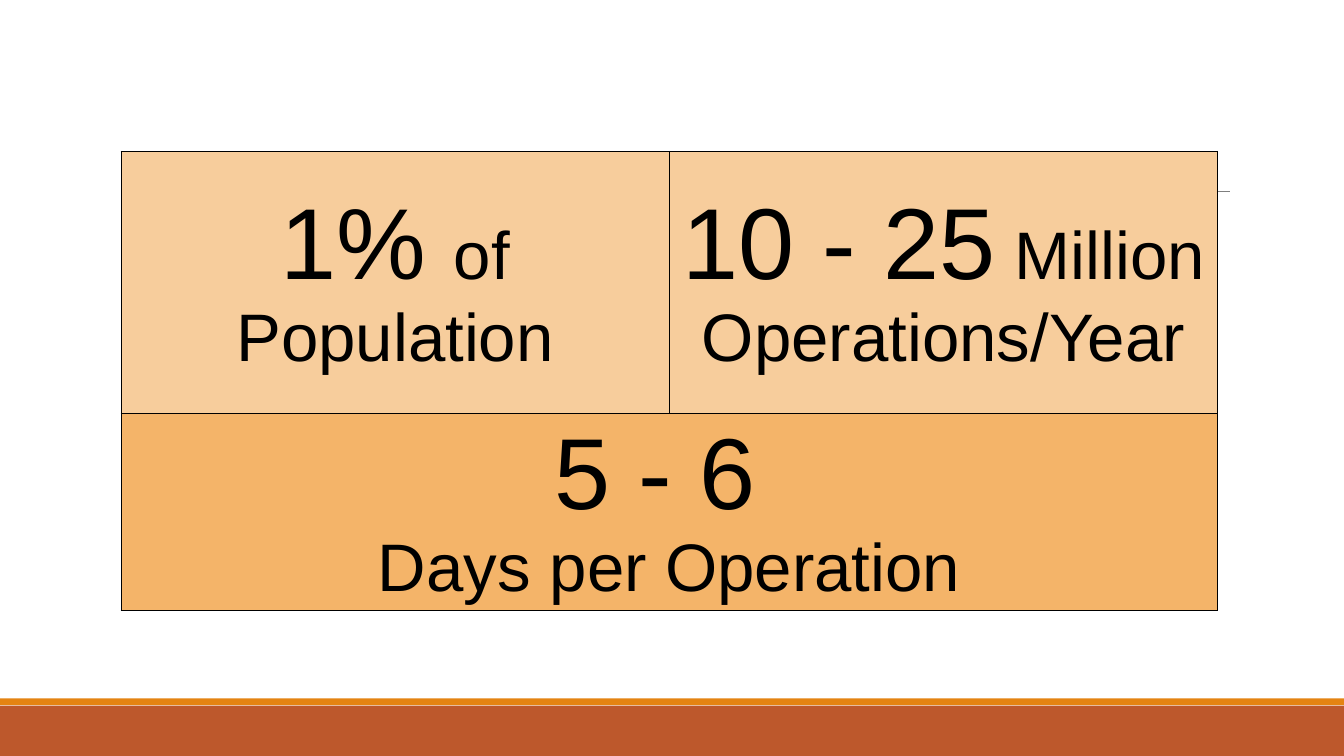
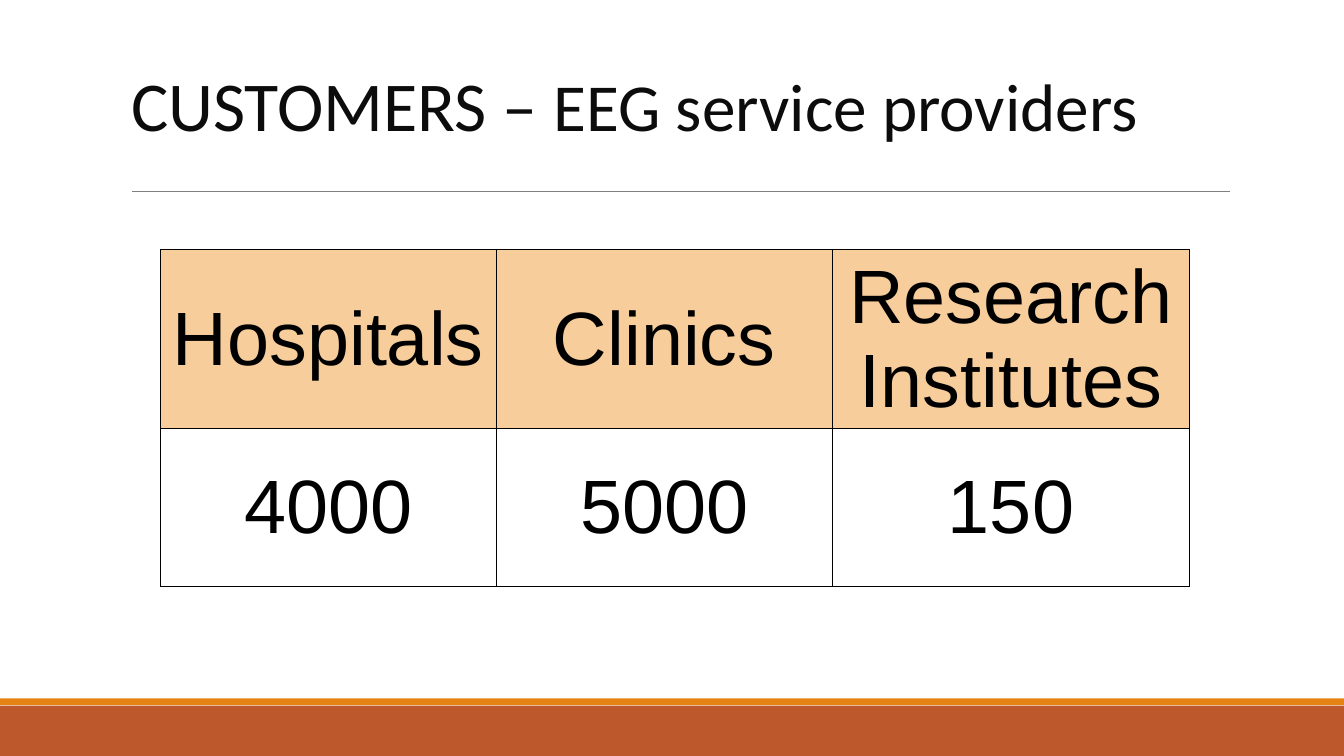
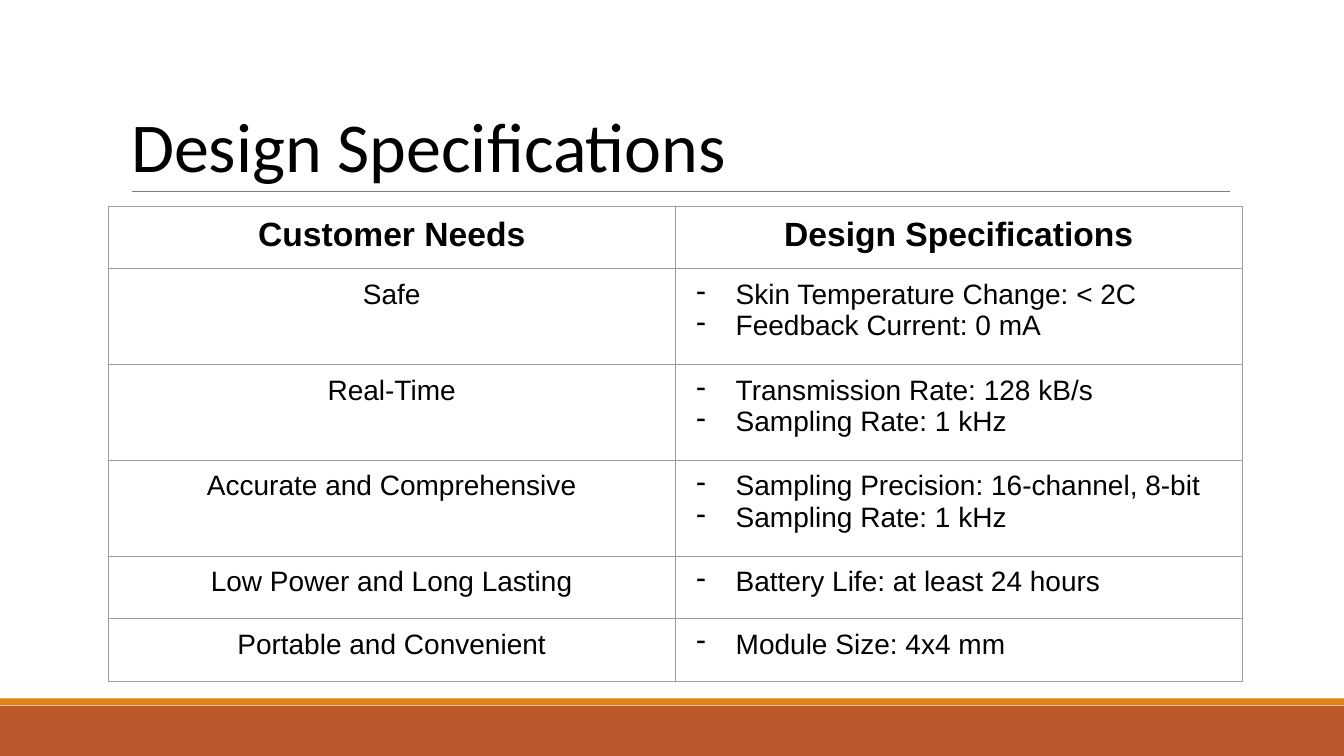
import pptx
import pptx.util
import pptx.dml.color
import pptx.enum.shapes
import pptx.enum.text
import pptx.oxml.ns
from lxml import etree

Pt = pptx.util.Pt
ALIGN = pptx.enum.text.PP_ALIGN
ANCHOR = pptx.enum.text.MSO_ANCHOR
COLORS = {
    "band": "BD582C",
    "stripe": "E48312",
    "rule": "7F7F7F",
    "light": "F7CD9C",
    "deep": "F4B469",
    "title": "0C0C0C",
    "text": "000000",
    "grid": "9E9E9E",
}
WIDTH, HEIGHT = 960, 540
TITLE_BOX = {"left": 86.4, "top": 22.3, "width": 792, "height": 114.5}
INSETS = ("margin_left", "margin_top", "margin_right", "margin_bottom")


def rgb(name):
    """Return the named colour."""
    return pptx.dml.color.RGBColor.from_string(COLORS[name])


def apply(obj, values):
    """Set each named attribute on an object."""
    for name, value in values.items():
        setattr(obj, name, value)


def add_child(parent, tag, **attrs):
    """Append a DrawingML element."""
    return etree.SubElement(parent, pptx.oxml.ns.qn(tag), attrs)


def add_run(p, text, size, color="text", font="Arial", bold=False):
    """Add a formatted run to a paragraph."""
    r = p.add_run()
    r.text = text
    apply(r.font, {"size": Pt(size), "name": font, "bold": bold})
    r.font.color.rgb = rgb(color)


def move_to_layout(sp, layout):
    """Move a drawn object from its slide to the layout."""
    sp.element.xpath(".//p:cNvPr")[0].set("id", str(100 + len(layout.shapes)))
    layout.shapes.element.append(sp.element)


def add_band(s, layout, color, top, height):
    """Add a full-width band to the layout."""
    sp = s.shapes.add_shape(
        pptx.enum.shapes.MSO_SHAPE.RECTANGLE, 0, Pt(top), Pt(WIDTH), Pt(height))
    sp.shadow.inherit = False
    sp.fill.solid()
    sp.fill.fore_color.rgb = rgb(color)
    sp.line.fill.background()
    move_to_layout(sp, layout)


def add_rule(s, layout, left, right, y):
    """Add the line below the title to the layout."""
    line = s.shapes.add_connector(
        pptx.enum.shapes.MSO_CONNECTOR.STRAIGHT, Pt(left), Pt(y), Pt(right), Pt(y))
    line.line.width = Pt(0.75)
    line.line.color.rgb = rgb("rule")
    add_child(line.element.spPr, "a:effectLst")
    move_to_layout(line, layout)


def set_title(s, runs, anchor, spacing):
    """Fill and format the title placeholder."""
    tf = s.shapes.title.text_frame
    apply(tf, {"word_wrap": True, "vertical_anchor": anchor,
               "auto_size": pptx.enum.text.MSO_AUTO_SIZE.NONE})
    p = tf.paragraphs[0]
    apply(p, {"alignment": ALIGN.LEFT, "line_spacing": spacing})
    for text, size, color in runs:
        add_run(p, text, size, color, "Calibri")


def add_grid(s, left, top, widths, heights, border):
    """Add a plain bordered table."""
    frame = s.shapes.add_table(
        len(heights), len(widths), Pt(left), Pt(top), Pt(sum(widths)), Pt(sum(heights)))
    table = frame.table
    apply(table, {"first_row": False, "horz_banding": False})
    for column, width in zip(table.columns, widths):
        column.width = Pt(width)
    for row, height in zip(table.rows, heights):
        row.height = Pt(height)
    for cell in table.iter_cells():
        tcPr = cell._tc.get_or_add_tcPr()
        for side in "LRTB":
            ln = add_child(tcPr, f"a:ln{side}", w=str(Pt(0.75)))
            add_child(add_child(ln, "a:solidFill"), "a:srgbClr", val=COLORS[border])
        cell.fill.background()
    return table


def set_bullet(p):
    """Give a paragraph a hanging dash."""
    pPr = p._p.get_or_add_pPr()
    apply_indent = {"marL": Pt(36), "indent": Pt(-28)}
    for name, value in apply_indent.items():
        pPr.set(name, str(value))
    add_child(pPr, "a:buChar", char="-")


def fill_cell(cell, paragraphs, fill=None, anchor=ANCHOR.MIDDLE, inset=3.6,
              bullets=False, bold=False):
    """Write paragraphs of (text, size) runs into a cell."""
    apply(cell, {"vertical_anchor": anchor})
    apply(cell, dict(zip(INSETS, map(Pt, (7.2, inset, 7.2, inset)))))
    if fill:
        cell.fill.solid()
        cell.fill.fore_color.rgb = rgb(fill)
    tf = cell.text_frame
    for i, runs in enumerate(paragraphs):
        p = tf.add_paragraph() if i else tf.paragraphs[0]
        p.alignment = ALIGN.LEFT if bullets else ALIGN.CENTER
        if bullets:
            set_bullet(p)
        for text, size in runs:
            add_run(p, text, size, bold=bold)


def build_figures(s):
    """Build the table of key figures."""
    title = s.shapes.title.element
    title.getparent().remove(title)
    table = add_grid(s, 86.4, 108, [391.7] * 2, [187, 114.5], "text")
    table.cell(1, 0).merge(table.cell(1, 1))
    fill_cell(table.cell(0, 0), [[("1% ", 72), ("of Population", 48)]], "light")
    fill_cell(table.cell(0, 1),
              [[("10 - 25", 72), (" Million Operations/Year", 48)]], "light")
    fill_cell(table.cell(1, 0),
              [[("5 - 6 ", 72)], [("Days per Operation", 48)]], "deep")


def build_customers(s):
    """Build the customer counts."""
    set_title(s, [("CUSTOMERS – ", 50, "title"),
                  ("EEG service providers", 48, "title")], ANCHOR.MIDDLE, 0.8)
    rows = [("Hospitals", "Clinics", "Research Institutes"), ("4000", "5000", "150")]
    table = add_grid(s, 114.5, 178.3, [240, 240, 255.4], [113] * 2, "text")
    for i, row in enumerate(rows):
        for j, text in enumerate(row):
            fill_cell(table.cell(i, j), [[(text, 54)]], None if i else "light")


def build_specifications(s):
    """Build the table of needs and specifications."""
    set_title(s, [("Design Specifications", 50, "text")], ANCHOR.BOTTOM, 0.85)
    needs = [
        ("Safe", ["Skin Temperature Change: < 2C", "Feedback Current: 0 mA"]),
        ("Real-Time", ["Transmission Rate: 128 kB/s", "Sampling Rate: 1 kHz"]),
        ("Accurate and Comprehensive",
         ["Sampling Precision: 16-channel, 8-bit", "Sampling Rate: 1 kHz"]),
        ("Low Power and Long Lasting", ["Battery Life: at least 24 hours"]),
        ("Portable and Convenient", ["Module Size: 4x4 mm"]),
    ]
    heights = [44.6] + [68.4 if len(items) > 1 else 44.6 for _, items in needs]
    table = add_grid(s, 77.3, 147.5, [405] * 2, heights, "grid")
    fmt = {"anchor": ANCHOR.TOP, "inset": 7.2}
    for j, text in enumerate(("Customer Needs", "Design Specifications")):
        fill_cell(table.cell(0, j), [[(text, 24)]], bold=True, **fmt)
    for i, (need, items) in enumerate(needs, 1):
        fill_cell(table.cell(i, 0), [[(need, 20)]], **fmt)
        fill_cell(table.cell(i, 1), [[(item, 20)] for item in items],
                  bullets=True, **fmt)


def main():
    """Build and save the presentation."""
    prs = pptx.Presentation()
    apply(prs, {"slide_width": Pt(WIDTH), "slide_height": Pt(HEIGHT)})
    layout = prs.slide_layouts.get_by_name("Title Only")
    apply(layout.placeholders[0], {k: Pt(v) for k, v in TITLE_BOX.items()})
    builders = (build_figures, build_customers, build_specifications)
    slides = [prs.slides.add_slide(layout) for _ in builders]
    add_band(slides[0], layout, "band", 504, 36)
    add_band(slides[0], layout, "stripe", 498.8, 5)
    add_rule(slides[0], layout, 94.3, 878.8, 136.8)
    for build, s in zip(builders, slides):
        build(s)
    prs.save("out.pptx")


if __name__ == "__main__":
    main()
